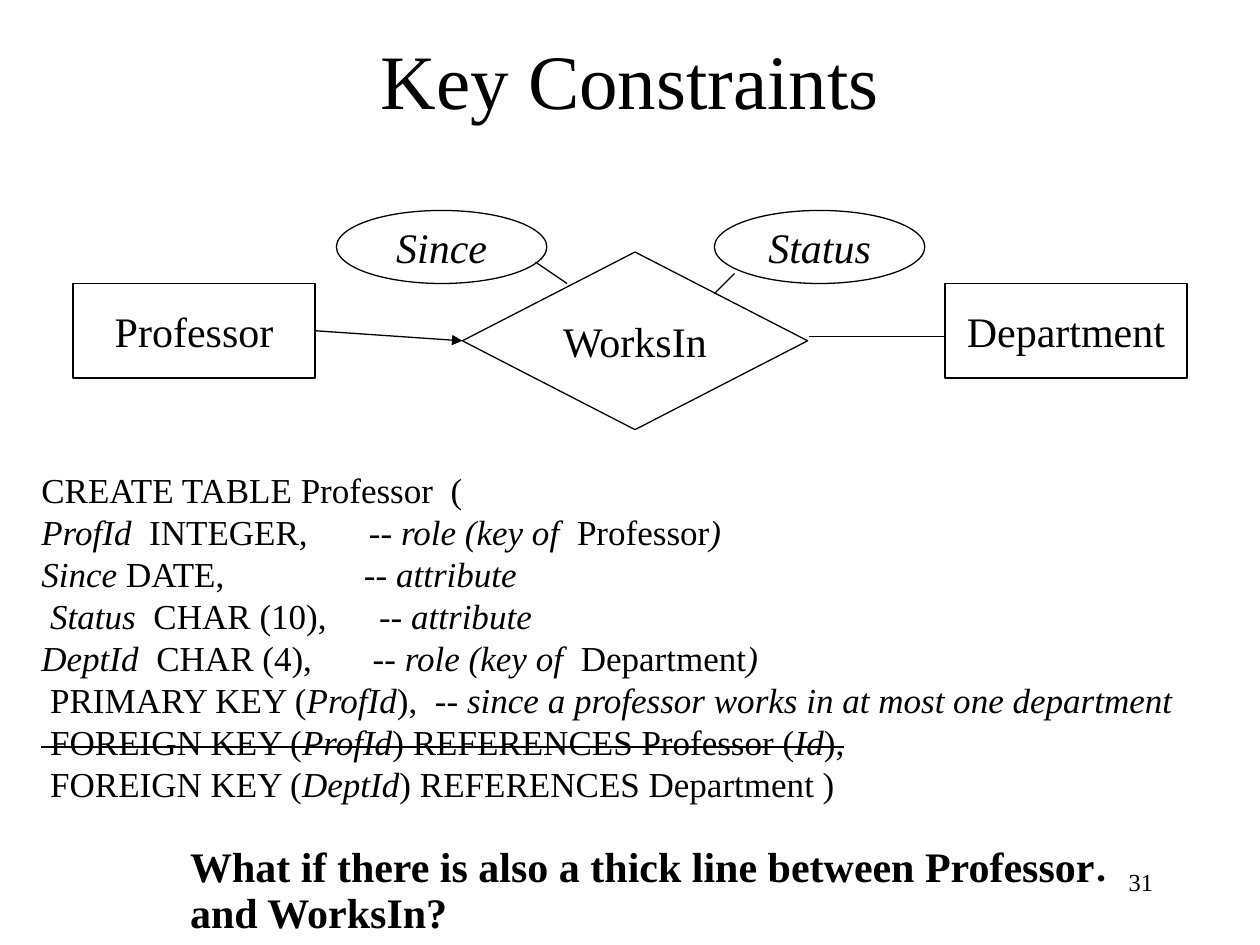
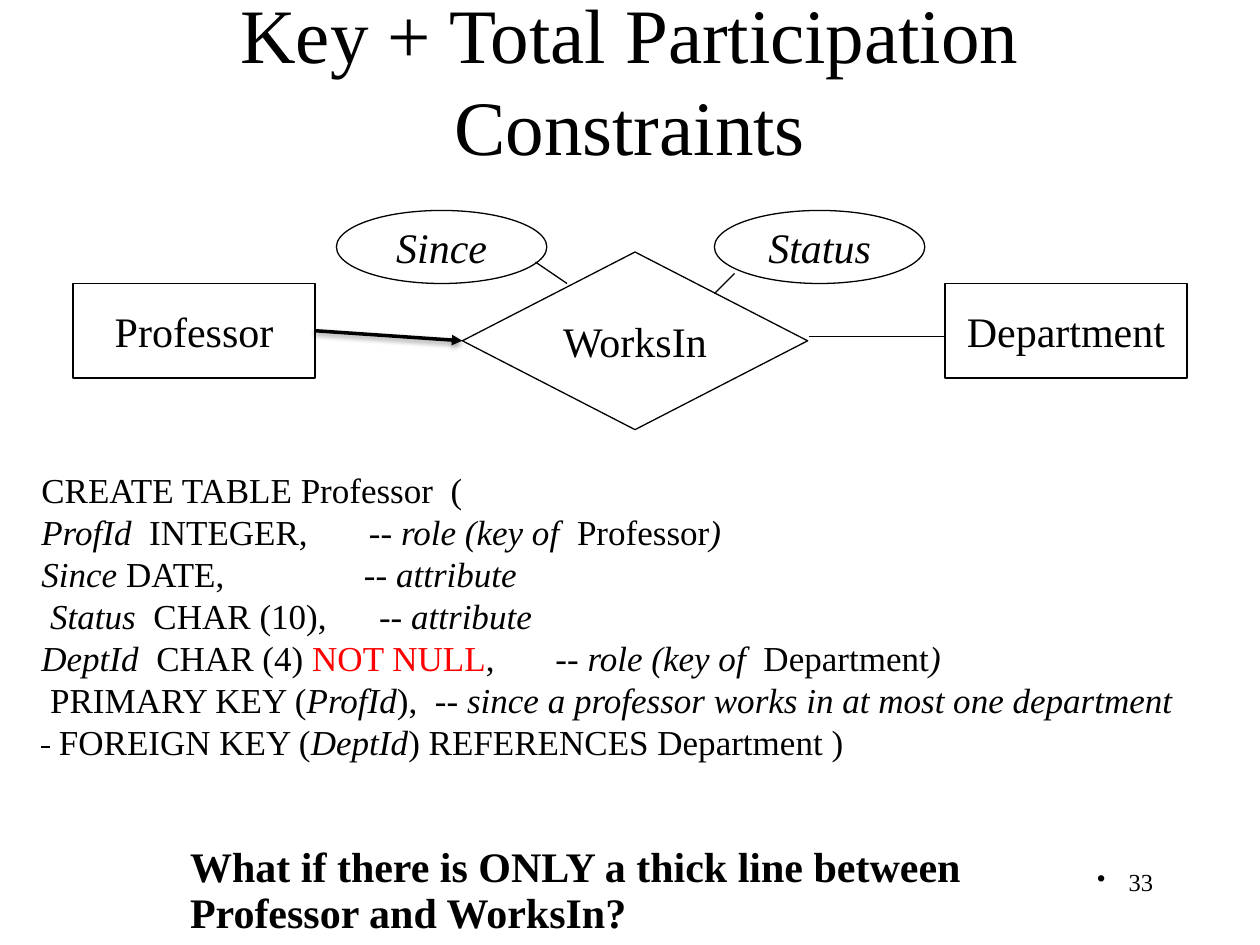
from itertools import groupby

from lxml import etree
from pptx import Presentation
from pptx.dml.color import RGBColor
from pptx.enum import shapes as es, text as et
from pptx.oxml import ns
from pptx.util import Inches, Pt

FACE = "Times New Roman"
BLACK = RGBColor(0, 0, 0)
WHITE = RGBColor(255, 255, 255)
RED = RGBColor(255, 0, 0)
MARKS = "*~^"

HEAD = [
    ("CREATE TABLE Professor  (", None),
    ("*ProfId*  INTEGER,\t-- *role (key of  *Professor*)*", 2.6),
    ("*Since *DATE,\t-- *attribute*", 2.56),
    (" *Status  *CHAR (10),\t-- *attribute*", 2.68),
]
PLAIN = [("*DeptId  *CHAR (4),\t-- *role (key of  *Department*)*", 2.63)]
TOTAL = [("*DeptId  *CHAR (4) ^NOT NULL^,\t-- *role (key of  *Department*)*", 4.08)]
MAIN = [(" PRIMARY KEY (*ProfId*),  -- *since a professor works in at most one department*", None)]
STRUCK = [("~ FOREIGN KEY (*ProfId*) REFERENCES Professor (*Id*),~", None)]
LAST = " FOREIGN KEY (*DeptId*) REFERENCES Department )"


def sub(parent, tag, **attrs):
    return etree.SubElement(parent, ns.qn(tag), attrs)


def style(font, size, color=BLACK):
    font.name = FACE
    font.size = Pt(size)
    font.color.rgb = color


def add_text(slide, box, words, size, align=et.PP_ALIGN.LEFT):
    frame = slide.shapes.add_textbox(*map(Inches, box)).text_frame
    frame.word_wrap = True
    frame.text = words
    para = frame.paragraphs[0]
    para.alignment = align
    for run in para.runs:
        style(run.font, size)
    return frame


def add_title(slide, words):
    frame = add_text(slide, (0.75, 0, 8.5, 1.25), words, 44, et.PP_ALIGN.CENTER)
    frame.vertical_anchor = et.MSO_ANCHOR.MIDDLE


def add_number(slide, number):
    frame = add_text(slide, (7.17, 6.83, 2.08, 0.5), number, 14, et.PP_ALIGN.RIGHT)
    props = frame.paragraphs[0]._p.get_or_add_pPr()
    props.set("marL", str(Inches(0.25)))
    props.set("indent", str(Inches(-0.25)))
    sub(props, "a:buChar", char="•")


def add_query(slide, words):
    para = add_text(slide, (1.41, 6.67, 7.38, 0.83), words, 24).paragraphs[0]
    para.line_spacing = 0.9
    para.runs[0].font.bold = True


def add_node(slide, kind, box, name, italic=False):
    node = slide.shapes.add_shape(kind, *map(Inches, box))
    node.shadow.inherit = False
    node.fill.solid()
    node.fill.fore_color.rgb = WHITE
    node.line.color.rgb = BLACK
    node.line.width = Pt(0.75)
    frame = node.text_frame
    frame.word_wrap = False
    frame.vertical_anchor = et.MSO_ANCHOR.MIDDLE
    frame.text = name
    para = frame.paragraphs[0]
    para.alignment = et.PP_ALIGN.CENTER
    style(para.runs[0].font, 24)
    para.runs[0].font.italic = italic
    return node


def add_line(slide, start, end, width=0.75):
    line = slide.shapes.add_connector(
        es.MSO_CONNECTOR.STRAIGHT, *map(Inches, start + end))
    line.line.color.rgb = BLACK
    line.line.width = Pt(width)
    effects = sub(line._element.spPr, "a:effectLst")
    return line, effects


def add_arrow(slide, source, target, thick):
    line, effects = add_line(slide, (2.5, 2.63), (3.67, 2.71), 2 if thick else 0.75)
    line.begin_connect(source, 3)
    line.end_connect(target, 1)
    sub(line.line._get_or_add_ln(), "a:tailEnd", type="triangle")
    if thick:
        shade = sub(effects, "a:outerShdw", blurRad=str(Pt(3.1)),
                    dist=str(Pt(1.6)), dir="5400000", rotWithShape="0")
        color = sub(shade, "a:srgbClr", val=str(BLACK))
        sub(color, "a:alpha", val="38000")


def add_graph(slide, thick):
    box, oval = es.MSO_SHAPE.RECTANGLE, es.MSO_SHAPE.OVAL
    works = add_node(slide, es.MSO_SHAPE.DIAMOND, (3.67, 2, 2.74, 1.41), "WorksIn")
    prof = add_node(slide, box, (0.58, 2.25, 1.92, 0.75), "Professor")
    add_node(slide, box, (7.5, 2.25, 1.92, 0.75), "Department")
    for left, name in ((2.67, "Since"), (5.67, "Status")):
        add_node(slide, oval, (left, 1.67, 1.67, 0.58), name, italic=True)
    for start, end in (((6.42, 2.67), (7.5, 2.67)),
                       ((5.83, 2.17), (5.67, 2.33)),
                       ((4.25, 2.08), (4.5, 2.25))):
        add_line(slide, start, end)
    add_arrow(slide, prof, works, thick)


def fill_line(para, words, tab):
    if tab:
        stops = sub(para._p.get_or_add_pPr(), "a:tabLst")
        sub(stops, "a:tab", pos=str(Inches(tab)), algn="l")
    active = set()
    for is_mark, chars in groupby(words, lambda char: char in MARKS):
        if is_mark:
            active ^= set(chars)
            continue
        run = para.add_run()
        run.text = "".join(chars)
        style(run.font, 20, RED if "^" in active else BLACK)
        run.font.italic = "*" in active
        if "~" in active:
            run._r.get_or_add_rPr().set("strike", "sngStrike")


def add_code(slide, lines):
    height = 0.1 + len(lines) / 3
    frame = add_text(slide, (0.23, 3.67, 9.55, height), "", 20)
    for index, (words, tab) in enumerate(lines):
        para = frame.add_paragraph() if index else frame.paragraphs[0]
        fill_line(para, words, tab)


def add_page(deck, number, title, lines, query, thick=False):
    slide = deck.slides.add_slide(deck.slide_layouts[6])
    add_number(slide, number)
    add_title(slide, title)
    add_graph(slide, thick)
    add_code(slide, lines)
    add_query(slide, query)


def main():
    deck = Presentation()
    deck.slide_width, deck.slide_height = Inches(10), Inches(7.5)
    add_page(deck, "31", "Key Constraints",
             HEAD + PLAIN + MAIN + STRUCK + [(LAST, None)],
             "What if there is also a thick line between Professor and WorksIn?")
    add_page(deck, "33", "Key + Total Participation Constraints",
             HEAD + TOTAL + MAIN + [("~ ~" + LAST, None)],
             "What if there is ONLY a thick line between Professor and WorksIn?",
             thick=True)
    deck.save("out.pptx")


if __name__ == "__main__":
    main()
